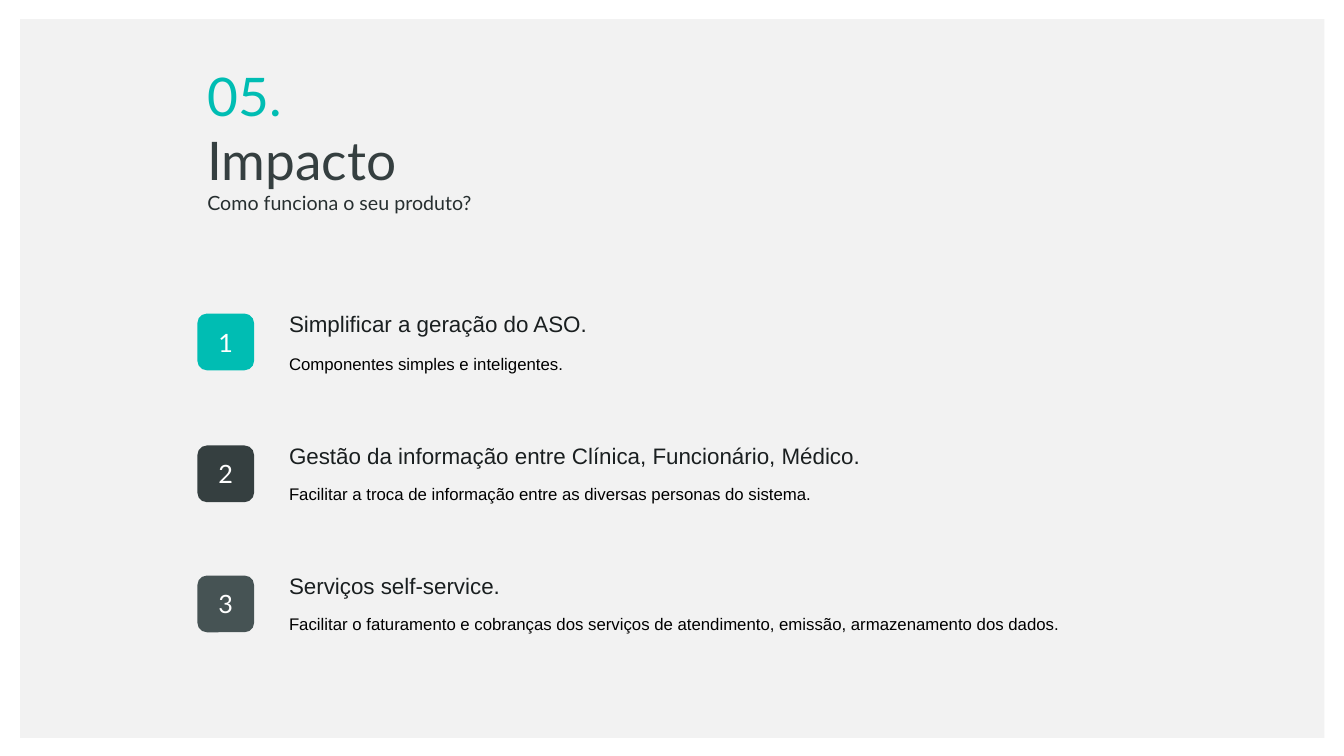
from pptx import Presentation
from pptx.dml.color import RGBColor
from pptx.enum import shapes, text
from pptx.util import Pt

TEAL, DARK, SLATE = "00BDB3", "353F40", "465354"
BADGE_SIZE = 40.5

# badge top, badge colour, detail offset, heading, detail
IMPACTS = [
    (224, TEAL, 19.4, "Simplificar a geração do ASO.",
     "Componentes simples e inteligentes."),
    (318.2, DARK, 18, "Gestão da informação entre Clínica, Funcionário, Médico.",
     "Facilitar a troca de informação entre as diversas personas do sistema."),
    (411.1, SLATE, 18, "Serviços self-service.",
     "Facilitar o faturamento e cobranças dos serviços de atendimento, emissão, "
     "armazenamento dos dados."),
]


def color(hex_string):
    return RGBColor.from_string(hex_string)


def add_filled_shape(slide, kind, left, top, width, height, fill):
    shape = slide.shapes.add_shape(kind, Pt(left), Pt(top), Pt(width), Pt(height))
    shape.shadow.inherit = False
    shape.fill.solid()
    shape.fill.fore_color.rgb = color(fill)
    shape.line.fill.background()
    return shape


def format_paragraph(paragraph, font_name, size, hex_string):
    for run in paragraph.runs:
        run.font.name = font_name
        run.font.size = Pt(size)
        run.font.color.rgb = color(hex_string)


def add_text(slide, left, top, width, height, lines, font_name):
    """Add a text box with one paragraph per (words, size, colour) line."""
    box = slide.shapes.add_textbox(Pt(left), Pt(top), Pt(width), Pt(height))
    frame = box.text_frame
    frame.word_wrap = True
    frame.text = "\n".join(words for words, _, _ in lines)
    for paragraph, (_, size, hex_string) in zip(frame.paragraphs, lines):
        format_paragraph(paragraph, font_name, size, hex_string)
    return frame


def add_panel(slide, left, top, width, height):
    add_filled_shape(slide, shapes.MSO_SHAPE.RECTANGLE, left, top, width, height, "F2F2F2")


def add_title(slide, left, top, width, height):
    lines = [("05.", 38, TEAL), ("Impacto", 38, DARK),
             ("Como funciona o seu produto?", 14, "272F30")]
    add_text(slide, left, top, width, height, lines, "Lato")


def add_impact(slide, left, top, width, number, fill, detail_offset, heading, detail):
    """Add a numbered badge with a heading and a detail line to its right."""
    badge = add_filled_shape(slide, shapes.MSO_SHAPE.ROUNDED_RECTANGLE,
                             left, top, BADGE_SIZE, BADGE_SIZE, fill)
    badge.text_frame.text = str(number)
    badge.text_frame.vertical_anchor = text.MSO_ANCHOR.MIDDLE
    paragraph = badge.text_frame.paragraphs[0]
    paragraph.alignment = text.PP_ALIGN.CENTER
    format_paragraph(paragraph, "Lato", 18, "FFFFFF")

    text_left = left + 58.4
    text_width = width - 58.4
    add_text(slide, text_left, top - 6, text_width, 26.6,
             [(heading, 16, "1A1F20")], "Arial")
    frame = add_text(slide, text_left, top + detail_offset, text_width, 27.4,
                     [(detail, 12, "000000")], "Arial")
    frame.paragraphs[0].line_spacing = 1.4


def main():
    presentation = Presentation()
    presentation.slide_width = Pt(960)
    presentation.slide_height = Pt(540)
    slide = presentation.slides.add_slide(presentation.slide_layouts[6])

    add_panel(slide, 14.4, 13.7, 931.7, 513.4)
    add_title(slide, 141, 41.8, 238.3, 116.6)
    for number, (top, *content) in enumerate(IMPACTS, start=1):
        add_impact(slide, 141, top, 700, number, *content)

    presentation.save("out.pptx")


if __name__ == "__main__":
    main()
